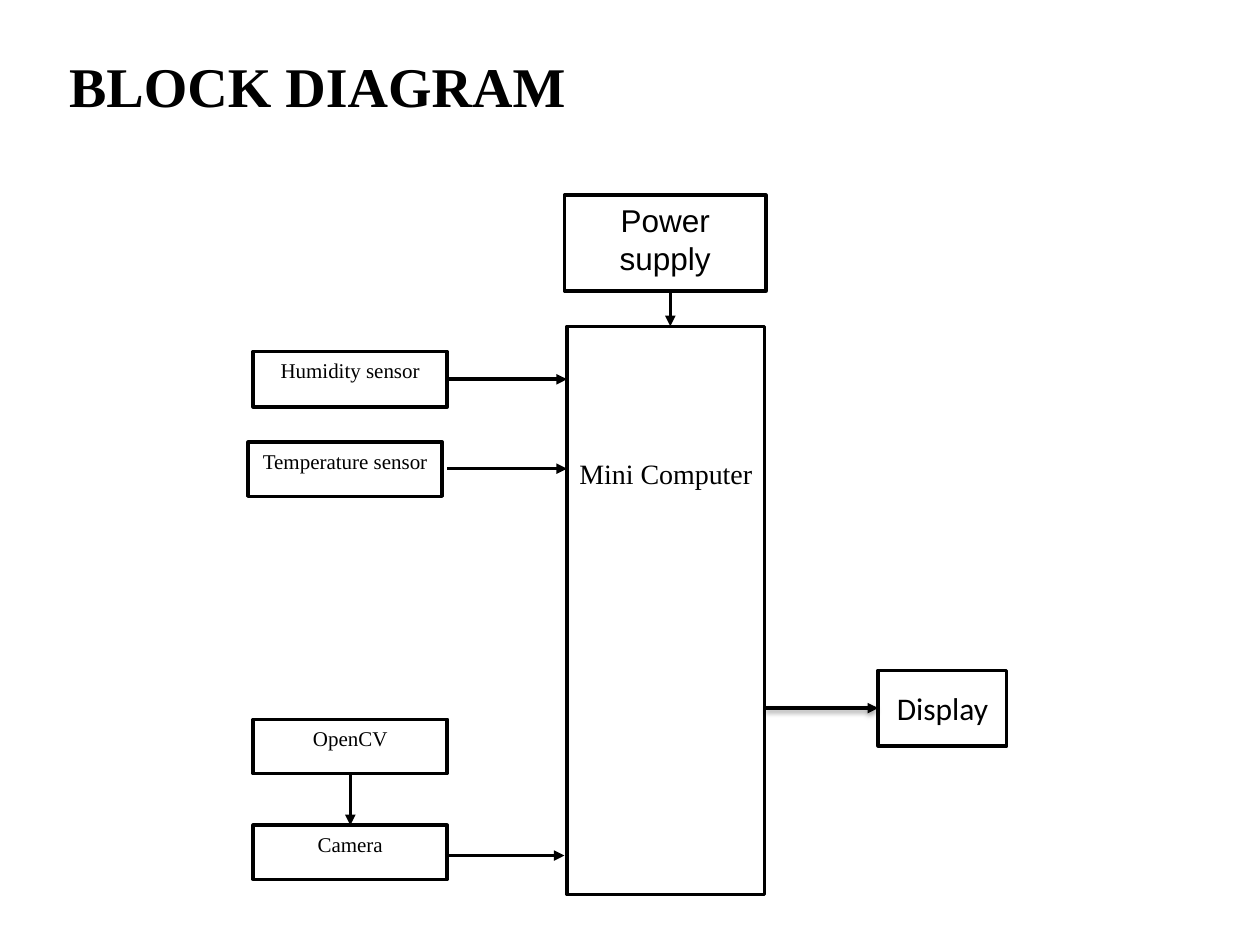
from dataclasses import dataclass
from typing import Optional

from lxml.etree import SubElement
from pptx import Presentation
from pptx.dml.color import RGBColor
from pptx.enum.shapes import MSO_CONNECTOR, MSO_SHAPE
from pptx.enum.text import MSO_ANCHOR, PP_ALIGN
from pptx.oxml.ns import qn
from pptx.util import Inches, Pt

COLORS = {"ink": "000000", "paper": "FFFFFF"}
SERIF = "Times New Roman"
TOP, LEFT, BOTTOM, RIGHT = range(4)


@dataclass
class Box:
    text: str
    left: float
    top: float
    width: float = 1.54
    height: float = 0.43
    size: int = 12
    font: str = SERIF
    inset: float = 0.05
    anchor: MSO_ANCHOR = MSO_ANCHOR.TOP


@dataclass
class Arrow:
    start: tuple[float, float]
    end: tuple[float, float]
    source: Optional[tuple[str, int]] = None
    target: Optional[tuple[str, int]] = None
    shadow: bool = False


FEED = Arrow((5.32, 2.14), (5.32, 2.59))

BOXES = [
    Box("Mini Computer", 4.5, 2.59, 1.57, 4.51, size=16, inset=1.03),
    Box("Power supply", 4.48, 1.55, 1.6, 0.76, size=18, font="Arial"),
    Box("Humidity sensor", 2.01, 2.79, height=0.44),
    Box("Temperature sensor", 1.97, 3.51),
    Box("OpenCV", 2.01, 5.71),
    Box("Camera", 2.01, 6.55),
    Box("Display", 6.97, 5.32, 1.02, 0.6, size=18, font="Calibri",
        anchor=MSO_ANCHOR.MIDDLE),
]

ARROWS = [
    Arrow((3.55, 3.01), (4.5, 3.01), source=("Humidity sensor", RIGHT)),
    Arrow((3.55, 3.72), (4.5, 3.72)),
    Arrow((2.78, 6.14), (2.78, 6.55), ("OpenCV", BOTTOM), ("Camera", TOP)),
    Arrow((3.53, 6.79), (4.48, 6.79)),
    Arrow((6.08, 5.62), (6.97, 5.62), target=("Display", LEFT), shadow=True),
]


def color(name: str) -> RGBColor:
    return RGBColor.from_string(COLORS[name])


def write(frame, text: str, *, size: int, font: str = SERIF, bold: bool = False,
          anchor: MSO_ANCHOR = MSO_ANCHOR.MIDDLE, inset: float = 0.05) -> None:
    frame.word_wrap = True
    frame.vertical_anchor = anchor
    frame.margin_top = Inches(inset)
    para = frame.paragraphs[0]
    para.alignment = PP_ALIGN.CENTER
    run = para.add_run()
    run.text = text
    run.font.size = Pt(size)
    run.font.name = font
    run.font.bold = bold
    run.font.color.rgb = color("ink")


def draw_box(slide, box: Box):
    shape = slide.shapes.add_shape(
        MSO_SHAPE.RECTANGLE, Inches(box.left), Inches(box.top),
        Inches(box.width), Inches(box.height))
    shape.shadow.inherit = False
    shape.fill.solid()
    shape.fill.fore_color.rgb = color("paper")
    shape.line.color.rgb = color("ink")
    shape.line.width = Pt(2)
    write(shape.text_frame, box.text, size=box.size, font=box.font,
          anchor=box.anchor, inset=box.inset)
    return shape


def draw_arrow(slide, arrow: Arrow, shapes: dict) -> None:
    line = slide.shapes.add_connector(
        MSO_CONNECTOR.STRAIGHT, *map(Inches, arrow.start + arrow.end))
    if arrow.source:
        name, side = arrow.source
        line.begin_connect(shapes[name], side)
    if arrow.target:
        name, side = arrow.target
        line.end_connect(shapes[name], side)
    line.line.color.rgb = color("ink")
    line.line.width = Pt(2)
    props = line._element.spPr
    SubElement(props.find(qn("a:ln")), qn("a:tailEnd"), type="triangle")
    effects = SubElement(props, qn("a:effectLst"))
    if arrow.shadow:
        shade = SubElement(effects, qn("a:outerShdw"), blurRad=str(Pt(3.1)),
                           dist=str(Pt(1.6)), dir="5400000", rotWithShape="0")
        tint = SubElement(shade, qn("a:srgbClr"), val=COLORS["ink"])
        SubElement(tint, qn("a:alpha"), val="38000")


def main() -> None:
    deck = Presentation()
    deck.slide_width, deck.slide_height = Inches(10), Inches(7.5)
    slide = deck.slides.add_slide(deck.slide_layouts[5])
    title = slide.shapes.title
    title.left, title.top = Inches(0.35), Inches(0.33)
    title.width, title.height = Inches(4.34), Inches(0.69)
    write(title.text_frame, "BLOCK DIAGRAM", size=32, bold=True)
    draw_arrow(slide, FEED, {})
    shapes = {box.text: draw_box(slide, box) for box in BOXES}
    for arrow in ARROWS:
        draw_arrow(slide, arrow, shapes)
    deck.save("out.pptx")


if __name__ == "__main__":
    main()
